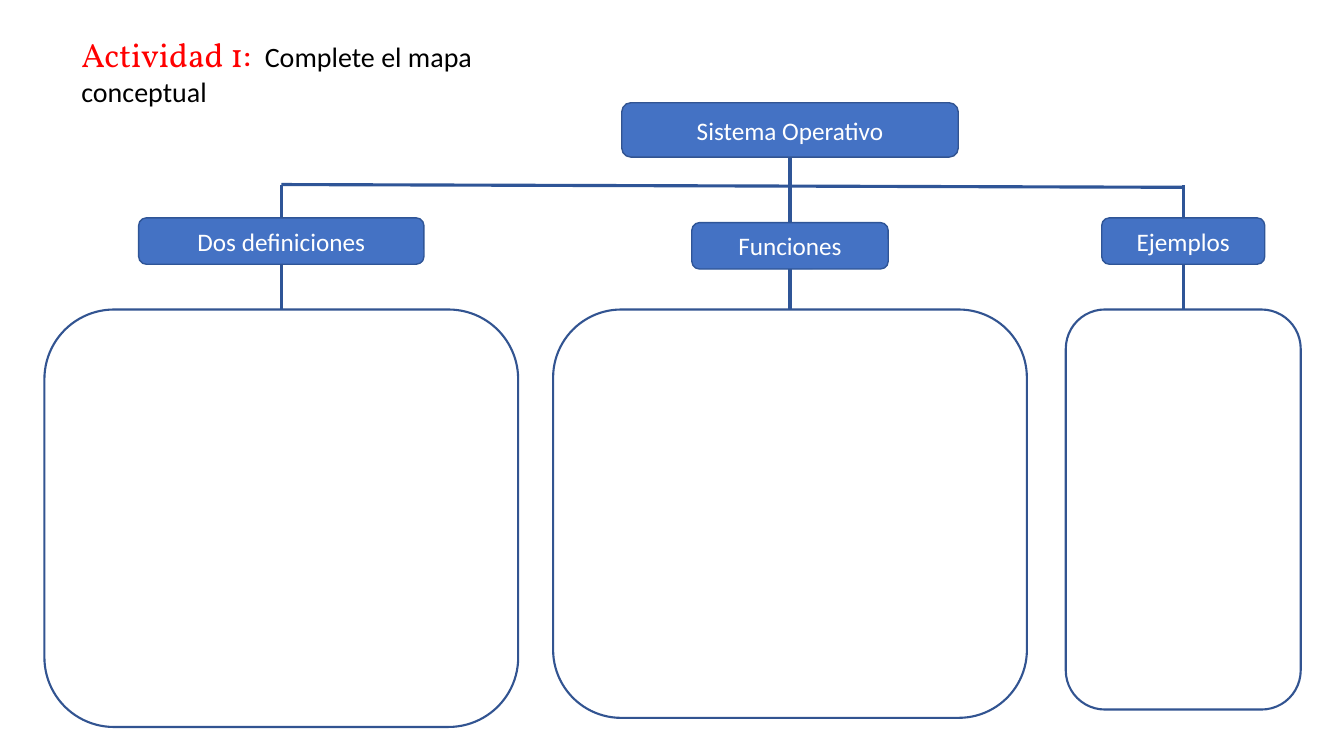
import pptx
import pptx.util
import pptx.dml.color
import pptx.enum.shapes
import pptx.enum.text
import pptx.oxml.ns
from lxml import etree

Cm = pptx.util.Cm
Pt = pptx.util.Pt


class Board:
    hues = {"box": "4472C4", "edge": "2F5597", "rim": "325491",
            "light": "FFFFFF", "dark": "000000", "red": "FF0000"}
    font = "Calibri"

    def __init__(self, slide):
        self.shapes = slide.shapes

    def hue(self, name):
        return pptx.dml.color.RGBColor.from_string(self.hues[name])

    def style(self, font, face, size, hue):
        font.name = face
        font.size = Pt(size)
        font.color.rgb = self.hue(hue)

    def frame(self, mid, top, wide, high, edge, width):
        kind = pptx.enum.shapes.MSO_SHAPE.ROUNDED_RECTANGLE
        shape = self.shapes.add_shape(
            kind, Cm(mid - wide / 2), Cm(top), Cm(wide), Cm(high))
        shape.shadow.inherit = False
        shape.fill.background()
        shape.line.color.rgb = self.hue(edge)
        shape.line.width = Pt(width)
        return shape

    def label(self, text, mid, top, wide, high, edge="edge"):
        shape = self.frame(mid, top, wide, high, edge, 1)
        shape.fill.solid()
        shape.fill.fore_color.rgb = self.hue("box")
        body = shape.text_frame
        body.vertical_anchor = pptx.enum.text.MSO_ANCHOR.MIDDLE
        para = body.paragraphs[0]
        para.text = text
        para.alignment = pptx.enum.text.PP_ALIGN.CENTER
        self.style(para.font, self.font, 18, "light")

    def line(self, x1, y1, x2, y2):
        kind = pptx.enum.shapes.MSO_CONNECTOR.STRAIGHT
        line = self.shapes.add_connector(kind, Cm(x1), Cm(y1), Cm(x2), Cm(y2))
        line.line.color.rgb = self.hue("edge")
        line.line.width = Pt(2.25)
        props = line.element.spPr
        etree.SubElement(props, pptx.oxml.ns.qn("a:effectLst"))

    def text(self, left, top, wide, high, runs):
        box = self.shapes.add_textbox(Cm(left), Cm(top), Cm(wide), Cm(high))
        box.text_frame.word_wrap = True
        para = box.text_frame.paragraphs[0]
        for words, face, size, hue in runs:
            run = para.add_run()
            run.text = words
            self.style(run.font, face, size, hue)


deck = pptx.Presentation()
deck.slide_width = Cm(33.87)
deck.slide_height = Cm(19.05)
board = Board(deck.slides.add_slide(deck.slide_layouts[6]))

root_mid, root_top, root_high = 19.91, 2.59, 1.37
root_end = root_top + root_high
label_high, panel_top = 1.17, 7.8
bar_left, bar_right = 4.65, 4.72

columns = [
    ("Dos definiciones", 7.09, bar_left, 5.49, 7.19, 11.94, 10.52),
    ("Funciones", root_mid, root_end, 5.61, 4.95, 11.94, 10.29),
    ("Ejemplos", 29.82, 4.67, 5.49, 4.11, 5.92, 10.08),
]

board.label("Sistema Operativo", root_mid, root_top, 8.48, root_high, "rim")
for name, mid, start, top, wide, span, depth in columns:
    board.label(name, mid, top, wide, label_high)
    board.frame(mid, panel_top, span, depth, "rim", 1.5)
    board.line(mid, start, mid, top)
    board.line(mid, top + label_high, mid, panel_top)
board.line(root_mid, root_end, root_mid, 4.67)
board.line(columns[0][1], bar_left, columns[-1][1], bar_right)

board.text(1.8, 0.74, 13.4, 1.27, [
    ("Actividad 1:  ", "Vollkorn", 24, "red"),
    ("Complete el mapa conceptual", board.font, 20, "dark"),
])

deck.save("out.pptx")
